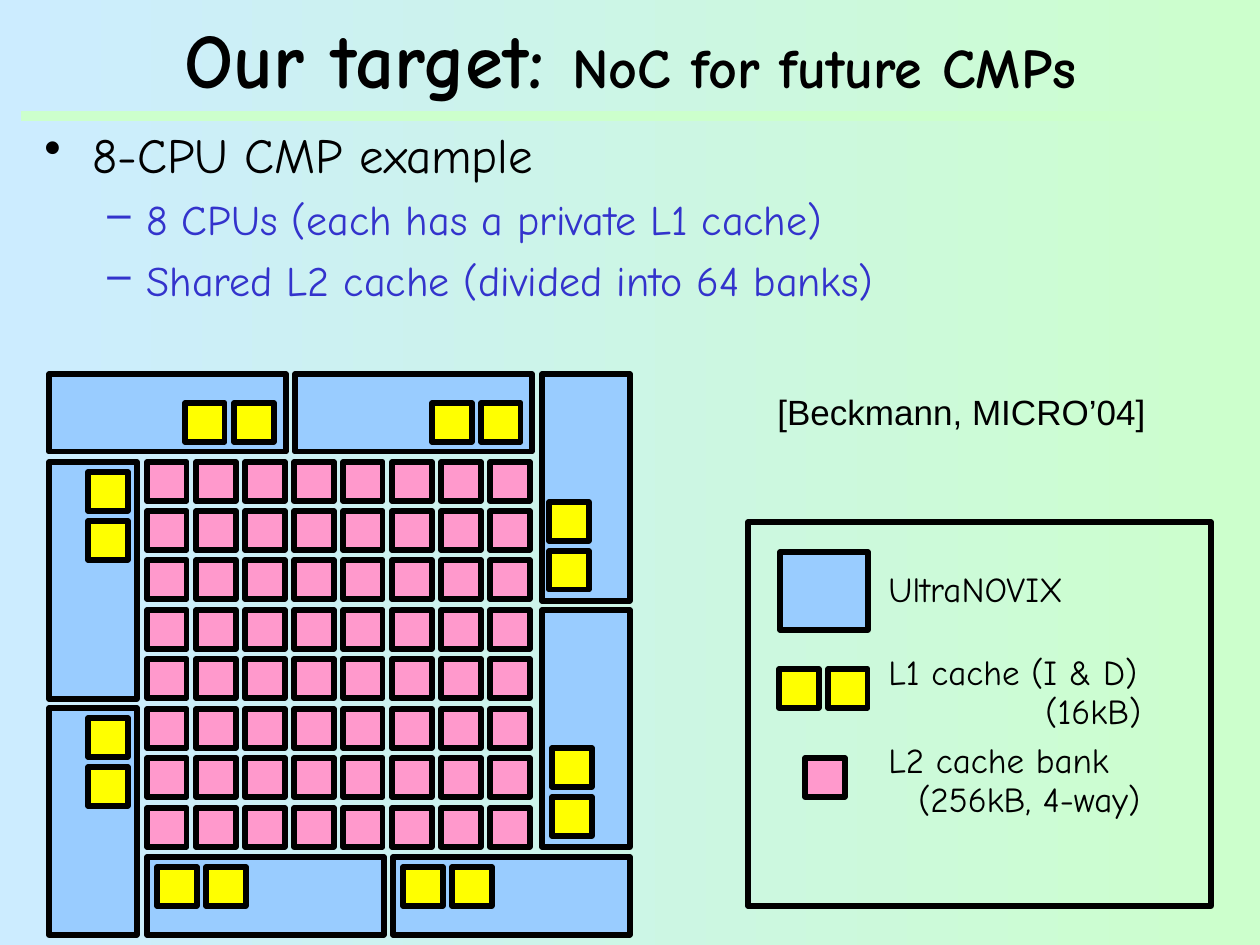
"""Build a slide on the network-on-chip target: an 8-CPU chip floorplan with a legend."""
from lxml import etree
from pptx import Presentation
from pptx import util as u
from pptx.dml.color import RGBColor
from pptx.enum import shapes, text
from pptx.oxml.ns import qn

SCALE = 914400 / 126
COLORS = {
    "sky": "CCECFF",
    "mint": "CCFFCC",
    "cpu": "99CCFF",
    "l1": "FFFF00",
    "l2": "FF99CC",
    "ink": "000000",
    "accent": "3333CC",
}
CELL = (40, 39)
STEP = 49


def add_run(paragraph, content, size=20, font="Comic Neue", color="ink", bold=False):
    run = paragraph.add_run()
    run.text = content
    run.font.size = u.Pt(size)
    run.font.name = font
    run.font.bold = bold
    run.font.color.rgb = RGBColor.from_string(COLORS[color])


def add_box(left, top, width, height, fill=None):
    box = slide.shapes.add_shape(
        shapes.MSO_SHAPE.RECTANGLE, *[u.Emu(round(v * SCALE)) for v in (left, top, width, height)])
    box.shadow.inherit = False
    if fill:
        box.fill.solid()
        box.fill.fore_color.rgb = RGBColor.from_string(COLORS[fill])
    else:
        box.fill.background()
    box.line.color.rgb = RGBColor.from_string(COLORS["ink"])
    box.line.width = u.Pt(3)


presentation = Presentation()
presentation.slide_width = u.Inches(10)
presentation.slide_height = u.Inches(7.5)
slide = presentation.slides.add_slide(presentation.slide_layouts[5])

background = slide.background.fill
background.gradient()
background.gradient_angle = 0
for stop, name, position in zip(background.gradient_stops, ("sky", "mint"), (0, 1)):
    stop.color.rgb = RGBColor.from_string(COLORS[name])
    stop.position = position

rule = slide.shapes.add_connector(
    shapes.MSO_CONNECTOR.STRAIGHT, *[u.Emu(round(v * SCALE)) for v in (21, 116, 1250, 116)])
rule.line.color.rgb = RGBColor.from_string(COLORS["mint"])
rule.line.width = u.Pt(6)
etree.SubElement(rule._element.spPr, qn("a:effectLst"))

title = slide.shapes.title
title.left, title.top, title.width, title.height = [
    u.Emu(round(v * SCALE)) for v in (32, 10, 1197, 95)]
title.text_frame.auto_size = text.MSO_AUTO_SIZE.NONE
title.text_frame.vertical_anchor = text.MSO_ANCHOR.MIDDLE
heading = title.text_frame.paragraphs[0]
heading.alignment = text.PP_ALIGN.CENTER
add_run(heading, "Our target: ", size=44, bold=True)
add_run(heading, "NoC for future CMPs", size=32, bold=True)

body = slide.shapes.add_textbox(*[u.Emu(round(v * SCALE)) for v in (32, 118, 1208, 286)])
body.text_frame.word_wrap = True
bullets = [
    ("8-CPU CMP example", 0, "•", 28, "ink", 48, 48),
    ("8 CPUs (each has a private L1 cache)", 1, "–", 24, "accent", 102, 39),
    ("Shared L2 cache (divided into 64 banks)", 1, "–", 24, "accent", 102, 39),
]
for index, (content, level, mark, size, color, margin, hang) in enumerate(bullets):
    paragraph = body.text_frame.paragraphs[0] if index == 0 else body.text_frame.add_paragraph()
    paragraph.level = level
    paragraph.space_before = u.Pt(6)
    add_run(paragraph, content, size=size, color=color)
    properties = paragraph._p.get_or_add_pPr()
    properties.set("marL", str(round(margin * SCALE)))
    properties.set("indent", str(round(-hang * SCALE)))
    etree.SubElement(properties, qn("a:buChar"), char=mark)

for row in range(8):
    for column in range(8):
        add_box(147 + column * STEP, 462 + row * 346 // 7, *CELL, fill="l2")

cpus = [
    ((295, 374, 237, 78), (432, 403), (STEP, 0)),
    ((49, 374, 237, 78), (185, 403), (STEP, 0)),
    ((393, 857, 237, 78), (403, 867), (STEP, 0)),
    ((147, 857, 237, 78), (157, 867), (STEP, 0)),
    ((49, 462, 88, 237), (88, 472), (0, STEP)),
    ((49, 708, 88, 227), (88, 718), (0, STEP)),
    ((542, 610, 88, 237), (552, 748), (0, STEP)),
    ((542, 374, 88, 227), (549, 502), (0, STEP)),
]
for core, (left, top), (step_x, step_y) in cpus:
    add_box(*core, fill="cpu")
    for cache in range(2):
        add_box(left + cache * step_x, top + cache * step_y, *CELL, fill="l1")

add_box(748, 522, 463, 384)
add_box(780, 552, 88, 78, fill="cpu")
for cache in range(2):
    add_box(779 + cache * STEP, 669, *CELL, fill="l1")
add_box(805, 758, *CELL, fill="l2")

labels = [
    ("UltraNOVIX", 876, 561, 229, "Comic Neue"),
    ("L1 cache (I & D)", 876, 644, 302, "Comic Neue"),
    ("(16kB)", 1033, 683, 130, "Comic Neue"),
    ("L2 cache bank", 876, 732, 270, "Comic Neue"),
    ("(256kB, 4-way)", 906, 771, 275, "Comic Neue"),
    ("[Beckmann, MICRO’04]", 765, 384, 406, "Arial"),
]
for content, left, top, width, font in labels:
    label = slide.shapes.add_textbox(*[u.Emu(round(v * SCALE)) for v in (left, top, width, 55)])
    label.text_frame.word_wrap = True
    add_run(label.text_frame.paragraphs[0], content, font=font)

presentation.save("out.pptx")
